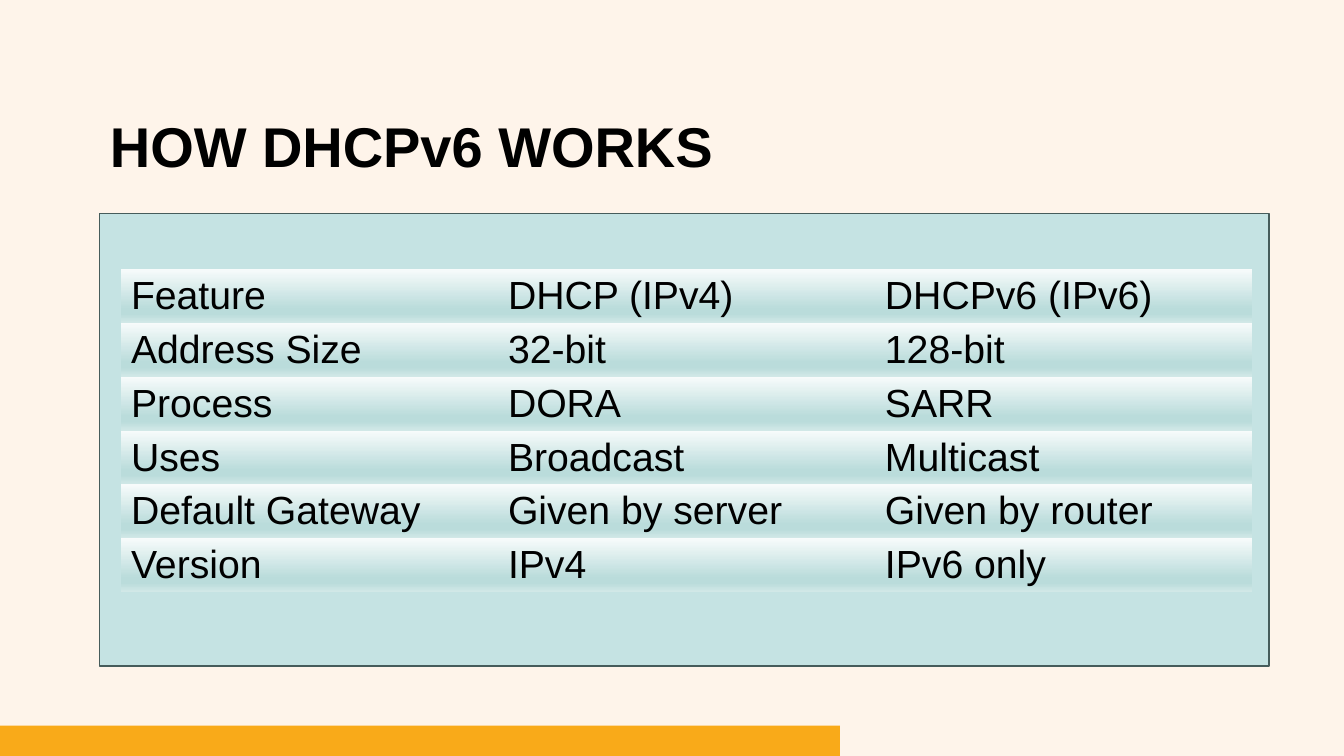
from lxml import etree
from pptx import Presentation
from pptx.dml.color import RGBColor
from pptx.enum import shapes, text
from pptx.oxml import ns
from pptx.util import Pt

COLOURS = {
    "background": "FEF4EA", "bar": "F9AA19", "panel": "C5E3E3",
    "panel line": "465C5B", "text": "000000",
    "cell top": "F7FBFB", "cell middle": "BADCDB", "cell bottom": "D1E8E7",
}
FONT = "Arial"
CELL_STOPS = [(0, "cell top"), (74, "cell middle"), (83, "cell middle"), (100, "cell bottom")]
COMPARISON = [
    ("Feature", "DHCP (IPv4)", "DHCPv6 (IPv6)"),
    ("Address Size", "32-bit", "128-bit"),
    ("Process", "DORA", "SARR"),
    ("Uses", "Broadcast", "Multicast"),
    ("Default Gateway", "Given by server", "Given by router"),
    ("Version", "IPv4", "IPv6 only"),
]


def colour(name):
    return RGBColor.from_string(COLOURS[name])


def set_font(paragraph, size, bold=False):
    paragraph.font.name = FONT
    paragraph.font.size = Pt(size)
    paragraph.font.bold = bold
    paragraph.font.color.rgb = colour("text")


def add_block(slide, box, fill, line=None):
    shape = slide.shapes.add_shape(shapes.MSO_SHAPE.RECTANGLE, *map(Pt, box))
    shape.shadow.inherit = False
    shape.fill.solid()
    shape.fill.fore_color.rgb = colour(fill)
    if line:
        shape.line.color.rgb = colour(line)
        shape.line.width = Pt(1)
    else:
        shape.line.fill.background()


def place_title(slide, box, wording):
    title = slide.shapes.title
    title.left, title.top, title.width, title.height = map(Pt, box)
    frame = title.text_frame
    frame.text = wording
    frame.word_wrap = True
    frame.auto_size = text.MSO_AUTO_SIZE.NONE
    frame.vertical_anchor = text.MSO_ANCHOR.BOTTOM
    paragraph = frame.paragraphs[0]
    paragraph.alignment = text.PP_ALIGN.LEFT
    paragraph.line_spacing = 0.9
    set_font(paragraph, 40, bold=True)


def style_cell(cell):
    """Remove the borders and add a vertical gradient of four stops."""
    properties = cell._tc.get_or_add_tcPr()
    for side in ("lnL", "lnR", "lnT", "lnB"):
        border = etree.SubElement(properties, ns.qn(f"a:{side}"), w="0")
        etree.SubElement(border, ns.qn("a:noFill"))
    gradient = etree.SubElement(properties, ns.qn("a:gradFill"), rotWithShape="1")
    stops = etree.SubElement(gradient, ns.qn("a:gsLst"))
    for position, name in CELL_STOPS:
        stop = etree.SubElement(stops, ns.qn("a:gs"), pos=str(position * 1000))
        etree.SubElement(stop, ns.qn("a:srgbClr"), val=COLOURS[name])
    etree.SubElement(gradient, ns.qn("a:lin"), ang="5400000", scaled="0")


def add_comparison(slide, box, rows):
    left, top, width, height = box
    add_block(slide, box, "panel", "panel line")

    # Table inside the panel
    row_height = 38.4
    table = slide.shapes.add_table(
        len(rows), len(rows[0]), Pt(left + 15.1), Pt(top + 39.6),
        Pt(width - 27.4), Pt(row_height * len(rows))).table
    table.first_row = False
    table.horz_banding = False
    for row, wordings in zip(table.rows, rows):
        row.height = Pt(row_height)
        for cell, wording in zip(row.cells, wordings):
            cell.text = wording
            cell.vertical_anchor = text.MSO_ANCHOR.MIDDLE
            set_font(cell.text_frame.paragraphs[0], 28)
            style_cell(cell)


def main():
    presentation = Presentation()
    presentation.slide_width = Pt(960)
    presentation.slide_height = Pt(540)
    slide = presentation.slides.add_slide(presentation.slide_layouts[5])
    slide.background.fill.solid()
    slide.background.fill.fore_color.rgb = colour("background")

    # Footer bar, title and comparison panel
    add_block(slide, (0, 518.4, 600, 21.6), "bar")
    place_title(slide, (71.3, 49, 663.8, 82.8), "HOW DHCPv6 WORKS")
    add_comparison(slide, (71.3, 152.6, 835.2, 323.3), COMPARISON)
    presentation.save("out.pptx")


if __name__ == "__main__":
    main()
